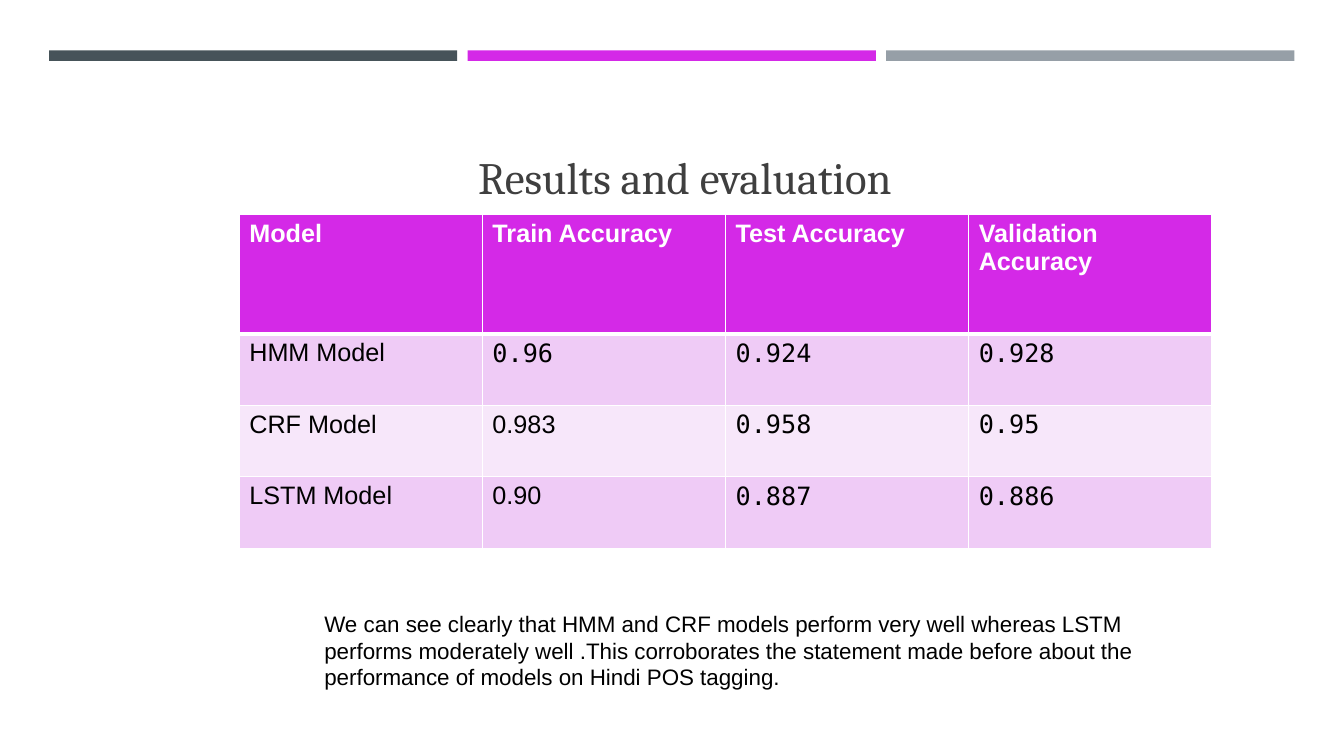
from lxml import etree
from pptx import Presentation
from pptx.dml.color import RGBColor
from pptx.enum.shapes import MSO_SHAPE
from pptx.enum.text import MSO_ANCHOR, MSO_AUTO_SIZE, PP_ALIGN
from pptx.oxml.ns import qn
from pptx.util import Pt

RECTANGLE = MSO_SHAPE.RECTANGLE
BOTTOM, TOP = MSO_ANCHOR.BOTTOM, MSO_ANCHOR.TOP
NO_AUTOFIT = MSO_AUTO_SIZE.NONE
LEFT = PP_ALIGN.LEFT
TITLE_ONLY = 5

TITLE = "Results and evaluation"
HEADINGS = ["Model", "Train Accuracy", "Test Accuracy", "Validation Accuracy"]
RESULTS = [
    ["HMM Model", "0.96", "0.924", "0.928"],
    ["CRF Model", "0.983", "0.958", "0.95"],
    ["LSTM Model", "0.90", "0.887", "0.886"],
]
SANS_VALUES = {"0.983", "0.90"}
CONCLUSION = (
    "We can see clearly that HMM and CRF models perform very well whereas LSTM "
    "performs moderately well .This corroborates the statement made before about "
    "the performance of models on Hindi POS tagging."
)

SANS, SERIF, MONO = "Arial", "Cambria", "DejaVu Sans Mono"
WHITE, BLACK, TITLE_GREY, MAGENTA = "FFFFFF", "000000", "3F3F3F", "D429E7"
BAND_FILLS = ["EFCBF6", "F7E7FA"]
BAR_FILLS = ["465359", MAGENTA, "969FA7"]

BAR_LEFT, BAR_TOP, BAR_WIDTH, BAR_HEIGHT, BAR_STEP = 35, 36, 291.6, 7.5, 299
TITLE_BOX = (46, 55.4, 868.3, 93.6)
TITLE_INDENT = 295.5
TABLE_LEFT, TABLE_TOP, COLUMN_WIDTH = 170.9, 153.4, 173.7
HEADER_HEIGHT, ROW_HEIGHT = 85, 51.1
CONCLUSION_BOX = (224.6, 432, 614.9, 65.5)


def color(hex_code):
    """Turn a hex string into a colour."""
    return RGBColor.from_string(hex_code)


def points(*lengths):
    """Turn numbers into lengths in points."""
    return [Pt(length) for length in lengths]


def write(frame, text, size, font, hex_code, bold=False):
    """Put one left-aligned paragraph into a text frame and format it."""
    frame.text = text
    frame.word_wrap = True
    para = frame.paragraphs[0]
    para.alignment = LEFT
    for span in para.runs:
        span.font.size = Pt(size)
        span.font.name = font
        span.font.bold = bold
        span.font.color.rgb = color(hex_code)


def add_bars(slide):
    """Draw the evenly spaced bars across the top."""
    for index, fill in enumerate(BAR_FILLS):
        left = BAR_LEFT + index * BAR_STEP
        bar = slide.shapes.add_shape(
            RECTANGLE, *points(left, BAR_TOP, BAR_WIDTH, BAR_HEIGHT))
        bar.shadow.inherit = False
        bar.fill.solid()
        bar.fill.fore_color.rgb = color(fill)
        bar.line.fill.background()


def add_title(slide):
    """Place and fill the title placeholder."""
    title = slide.shapes.title
    title.left, title.top, title.width, title.height = points(*TITLE_BOX)
    frame = title.text_frame
    write(frame, TITLE, 32, SERIF, TITLE_GREY)
    frame.auto_size = NO_AUTOFIT
    frame.vertical_anchor = BOTTOM
    frame.margin_left = Pt(TITLE_INDENT)


def set_borders(cell, top, bottom):
    """Give a cell white borders; this must come before its fill."""
    properties = cell._tc.get_or_add_tcPr()
    for side, width in (("L", 1), ("R", 1), ("T", top), ("B", bottom)):
        line = etree.SubElement(properties, qn(f"a:ln{side}"), w=str(Pt(width)))
        fill = etree.SubElement(line, qn("a:solidFill"))
        etree.SubElement(fill, qn("a:srgbClr"), val=WHITE)


def add_results_table(slide):
    """Build the table of accuracies with its header and banded rows."""
    rows = [HEADINGS] + RESULTS
    width = COLUMN_WIDTH * len(HEADINGS)
    height = HEADER_HEIGHT + ROW_HEIGHT * len(RESULTS)
    table = slide.shapes.add_table(
        len(rows), len(HEADINGS), *points(TABLE_LEFT, TABLE_TOP, width, height)).table
    for column in table.columns:
        column.width = Pt(COLUMN_WIDTH)
    for row_index, texts in enumerate(rows):
        header = row_index == 0
        table.rows[row_index].height = Pt(HEADER_HEIGHT if header else ROW_HEIGHT)
        row_fill = MAGENTA if header else BAND_FILLS[(row_index - 1) % 2]
        for column_index, text in enumerate(texts):
            cell = table.cell(row_index, column_index)
            sans = header or column_index == 0 or text in SANS_VALUES
            write(cell.text_frame, text, 18, SANS if sans else MONO,
                  WHITE if header else BLACK, header)
            cell.vertical_anchor = TOP
            set_borders(cell, 3 if row_index == 1 else 1, 3 if header else 1)
            cell.fill.solid()
            cell.fill.fore_color.rgb = color(row_fill)


def add_conclusion(slide):
    """Add the closing remark under the table."""
    box = slide.shapes.add_textbox(*points(*CONCLUSION_BOX))
    write(box.text_frame, CONCLUSION, 16, SANS, BLACK)


deck = Presentation()
deck.slide_width, deck.slide_height = points(960, 540)
page = deck.slides.add_slide(deck.slide_layouts[TITLE_ONLY])
add_bars(page)
add_title(page)
add_results_table(page)
add_conclusion(page)
deck.save("out.pptx")
